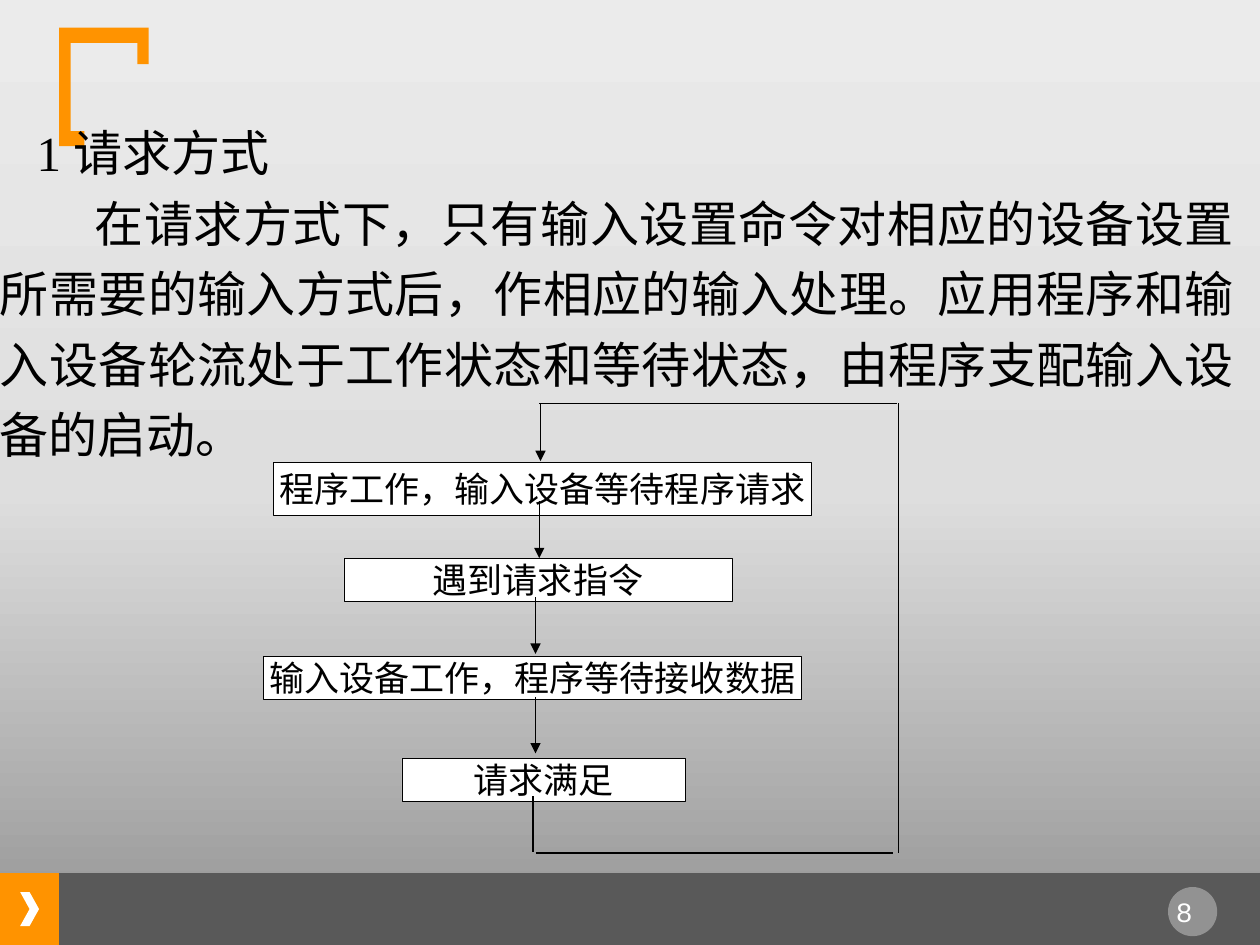
from copy import deepcopy

from lxml import etree
from pptx import Presentation
from pptx import util as u
from pptx.dml.color import RGBColor
from pptx.enum import shapes, text
from pptx.oxml.ns import qn

ORANGE = RGBColor(0xFF, 0x93, 0x00)
CHARCOAL = RGBColor(0x59, 0x59, 0x59)
WHITE = RGBColor(0xFF, 0xFF, 0xFF)
BLACK = RGBColor(0, 0, 0)
BACKDROP = [
    (0, RGBColor(0x94, 0x94, 0x94)),
    (0.48, RGBColor(0xDE, 0xDE, 0xDE)),
    (1, RGBColor(0xEB, 0xEB, 0xEB)),
]
SHAPE = shapes.MSO_SHAPE
CENTER, JUSTIFY = text.PP_ALIGN.CENTER, text.PP_ALIGN.JUSTIFY
COLUMNS, ROWS = 100, 75


class SlideStyle:
    """Places elements on a grid of 100 columns by 75 rows."""

    def __init__(self, deck):
        self.page = deck.slides.add_slide(deck.slide_layouts[6])
        self.column = deck.slide_width / COLUMNS
        self.row = deck.slide_height / ROWS

    def place(self, *lengths):
        units = (self.column, self.row) * 2
        return [round(length * unit) for length, unit in zip(lengths, units)]

    def backdrop(self, stops):
        fill = self.page.background.fill
        fill.gradient()
        fill.gradient_angle = 90
        stop_list = self.page.element.find(".//" + qn("a:gsLst"))
        stop_list.append(deepcopy(stop_list[0]))
        for stop, (position, color) in zip(fill.gradient_stops, stops):
            stop.position = position
            stop.color.rgb = color

    def paint(self, shape, color, outline=None, alpha=None):
        shape.shadow.inherit = False
        shape.fill.solid()
        shape.fill.fore_color.rgb = color
        if alpha:
            solid = shape.element.spPr.find(qn("a:solidFill"))
            etree.SubElement(solid[0], qn("a:alpha"), val=str(alpha * 1000))
        if outline is None:
            shape.line.fill.background()
        else:
            shape.line.color.rgb = outline
            shape.line.width = u.Pt(0.25)
        return shape

    def shape(self, kind, area, color, **style):
        shape = self.page.shapes.add_shape(kind, *self.place(*area))
        return self.paint(shape, color, **style)

    def outline(self, points, color):
        corners = [self.place(*point) for point in points]
        builder = self.page.shapes.build_freeform(*corners[0])
        builder.add_line_segments(corners[1:], close=True)
        self.paint(builder.convert_to_shape(), color)

    def set_text(self, box, lines, size, align, color=BLACK,
                 font="Times New Roman", inset=(0, 0),
                 anchor=text.MSO_ANCHOR.TOP):
        frame = box.text_frame
        frame.word_wrap = True
        frame.vertical_anchor = anchor
        frame.margin_left = frame.margin_right = round(inset[0] * self.column)
        frame.margin_top = frame.margin_bottom = round(inset[1] * self.row)
        frame.text = "\n".join(lines)
        for para in frame.paragraphs:
            para.alignment = align
            for span in para.runs:
                span.font.size = u.Pt(size)
                span.font.name = font
                span.font.color.rgb = color

    def text_box(self, area, lines, size, align, **style):
        box = self.page.shapes.add_textbox(*self.place(*area))
        self.set_text(box, lines, size, align, **style)
        return box

    def body(self, area, lines, indents):
        box = self.text_box(area, lines, 28, JUSTIFY,
                            anchor=text.MSO_ANCHOR.MIDDLE)
        for para in box.text_frame.paragraphs:
            para.line_spacing = 1.2
        for settings, indent in zip(box.element.iter(qn("a:pPr")), indents):
            settings.set("indent", str(round(indent * self.column)))

    def step(self, area, label, inset):
        box = self.shape(SHAPE.RECTANGLE, area, WHITE, outline=BLACK)
        self.set_text(box, [label], 20, CENTER, inset=(0, inset))

    def line(self, start, end, arrow=False):
        line = self.page.shapes.add_connector(
            shapes.MSO_CONNECTOR.STRAIGHT, *self.place(*start, *end))
        line.line.color.rgb = BLACK
        line.line.width = u.Pt(0.75)
        properties = line.element.spPr
        if arrow:
            etree.SubElement(properties.find(qn("a:ln")), qn("a:tailEnd"),
                             type="triangle")
        etree.SubElement(properties, qn("a:effectLst"))


def main():
    deck = Presentation()
    deck.slide_width, deck.slide_height = u.Inches(10), u.Inches(7.5)
    style = SlideStyle(deck)
    style.backdrop(BACKDROP)

    # Footer band with page number
    style.shape(SHAPE.RECTANGLE, (0, 69.3, 4.7, 5.7), ORANGE)
    style.shape(SHAPE.RECTANGLE, (4.7, 69.3, 95.3, 5.7), CHARCOAL)
    style.shape(SHAPE.CHEVRON, (1.6, 70.8, 1.5, 2.7), WHITE)
    style.shape(SHAPE.OVAL, (92.7, 70.4, 3.9, 3.9), WHITE, alpha=35)
    style.text_box((92, 70.5, 5.3, 3.7), ["8 "], 16, CENTER, color=WHITE,
                   font="Courier New", inset=(1, 0.5))

    # Corner bracket
    style.outline([(4.7, 2.2), (11.8, 2.2), (11.8, 5.1), (10.9, 5.1),
                   (10.9, 3.4), (5.6, 3.4), (5.6, 10.4), (6.7, 10.4),
                   (6.7, 11.6), (4.7, 11.6)], ORANGE)

    # Heading and explanation
    style.body(
        (0, 8.8, 98, 28),
        ["1 请求方式",
         "在请求方式下，只有输入设置命令对相应的设备设置所需要的输入方式后，"
         "作相应的输入处理。应用程序和输入设备轮流处于工作状态和等待状态，"
         "由程序支配输入设备的启动。"],
        indents=(2.9, 7.5))

    # Steps of the request loop
    for area, label, inset in [
        ((21.7, 36.7, 42.7, 4.2), "程序工作，输入设备等待程序请求", 0.4),
        ((27.3, 44.3, 30.8, 3.4), "遇到请求指令", 0),
        ((20.9, 52.1, 42.7, 3.4), "输入设备工作，程序等待接收数据", 0),
        ((31.9, 60.2, 22.5, 3.4), "请求满足", 0),
    ]:
        style.step(area, label, inset)

    # Arrows between the steps and into the first one
    for x, top in [(42.8, 39.8), (42.5, 47.4), (42.5, 55.3), (42.9, 32.1)]:
        style.line((x, top), (x, top + 4.5), arrow=True)

    # Return path from the last step to the first
    for start, end in [
        ((42.3, 63.2), (42.3, 67.6)),
        ((42.8, 32), (71.2, 32)),
        ((42.5, 67.7), (70.9, 67.7)),
        ((71.3, 32), (71.3, 67.7)),
    ]:
        style.line(start, end)

    deck.save("out.pptx")


if __name__ == "__main__":
    main()
